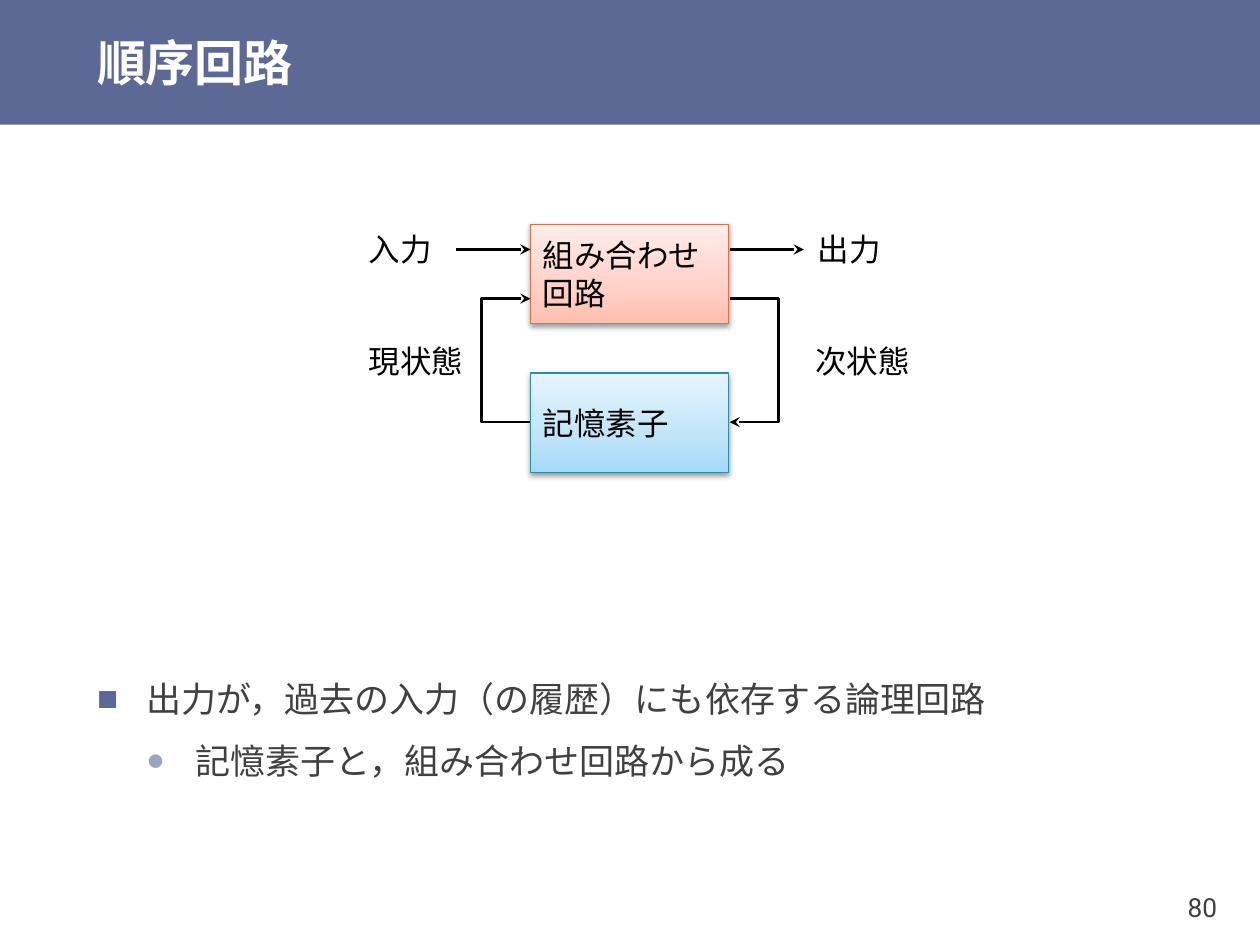
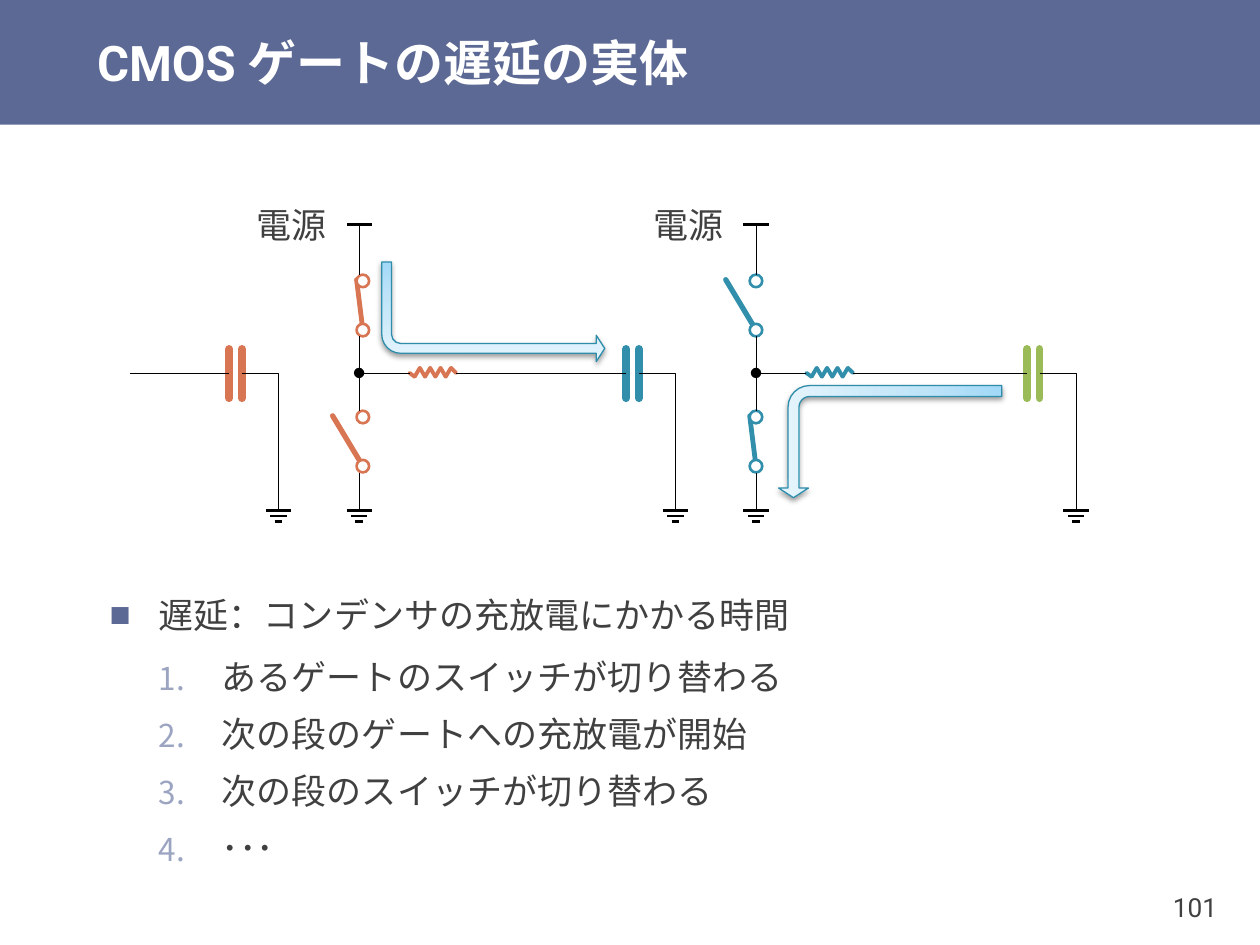
"""Builds two slides on sequential circuits and CMOS gate delay."""
from itertools import pairwise

from lxml import etree
from pptx import Presentation
from pptx import util as u
from pptx.dml.color import RGBColor
from pptx.enum import shapes, text
from pptx.oxml.ns import qn

COLORS = {
    "band": "5C6994", "bullet": "9BA4C1", "body": "404040",
    "white": "FFFFFF", "black": "000000",
    "red_edge": "D7714D", "blue_edge": "2E8DAB",
    "orange": "D87552", "teal": "328FAC", "green": "9BBB59",
}
GRADIENTS = {
    "red_edge": {0: "FFBEB0", 35: "FFD0C7", 100: "FFEDEA"},
    "blue_edge": {0: "A2D9F7", 35: "BFE4F8", 100: "E6F5FD"},
}
LATIN, CJK = "Roboto", "Noto Sans CJK JP"
WIRE_Y, GROUND_Y, POWER_Y = 2.96, 4.05, 1.78
UPPER_Y, LOWER_Y = 2.18, 3.26
THIN, THICK = 0.25, 1.5


def rgb(name):
    return RGBColor.from_string(COLORS[name])


def node(parent, tag, **attributes):
    return etree.SubElement(parent, qn(tag), **attributes)


def inches(*lengths):
    return [u.Inches(length) for length in lengths]


def place(shape, left, top, width, height):
    shape.left, shape.top, shape.width, shape.height = inches(left, top, width, height)


def write(para, words, size, color="black", font=CJK, bold=False):
    span = para.add_run()
    span.text = words
    span.font.size = u.Pt(size)
    span.font.bold = bold
    span.font.name = font
    span.font.color.rgb = rgb(color)
    node(span._r.get_or_add_rPr(), "a:ea", typeface=CJK)


def set_frame(shape, margin_x=0.1, margin_y=0.05, wrap=False):
    frame = shape.text_frame
    frame.auto_size = text.MSO_AUTO_SIZE.NONE
    frame.word_wrap = wrap
    frame.vertical_anchor = text.MSO_ANCHOR.MIDDLE
    frame.margin_left = frame.margin_right = u.Inches(margin_x)
    frame.margin_top = frame.margin_bottom = u.Inches(margin_y)
    return frame


def set_line(shape, color, width, tail=None, rounded=False):
    shape.line.color.rgb = rgb(color)
    shape.line.width = u.Pt(width)
    properties = shape.element.spPr
    line = properties.find(qn("a:ln"))
    if rounded:
        line.set("cap", "rnd")
    if tail:
        node(line, "a:tailEnd", type=tail)
    return node(properties, "a:effectLst")


def add_line(page, start, end, color="black", width=THIN, **ends):
    connector = page.shapes.add_connector(
        shapes.MSO_CONNECTOR.STRAIGHT, *inches(*start, *end))
    set_line(connector, color, width, **ends)


def add_path(page, points, width, tail=None):
    start, *rest = [inches(*point) for point in points]
    builder = page.shapes.build_freeform(*start)
    builder.add_line_segments(rest, close=False)
    path = builder.convert_to_shape()
    path.fill.background()
    set_line(path, "black", width, tail)


def add_glossy(page, preset, area, edge):
    shape = page.shapes.add_shape(preset, *inches(*area))
    shape.fill.gradient()
    shape.fill.gradient_angle = 90
    stops = next(shape.element.spPr.iter(qn("a:gsLst")))
    stops.clear()
    for position, value in GRADIENTS[edge].items():
        node(node(stops, "a:gs", pos=str(position * 1000)), "a:srgbClr", val=value)
    effects = set_line(shape, edge, 0.75)
    shadow = node(effects, "a:outerShdw", blurRad="40000", dist="20000",
                  dir="5400000", rotWithShape="0")
    node(node(shadow, "a:srgbClr", val=COLORS["black"]), "a:alpha", val="38000")
    return shape


def add_block(page, top, lines):
    edge = "red_edge" if len(lines) > 1 else "blue_edge"
    block = add_glossy(page, shapes.MSO_SHAPE.RECTANGLE, (4.21, top, 1.57, 0.79), edge)
    frame = set_frame(block)
    for index, line in enumerate(lines):
        para = frame.add_paragraph() if index else frame.paragraphs[0]
        para.alignment = text.PP_ALIGN.LEFT
        write(para, line, 18)


def add_label(page, area, words, size=18, color="black", font=CJK, align="LEFT", **margins):
    box = page.shapes.add_textbox(*inches(*area))
    para = set_frame(box, **margins).paragraphs[0]
    para.alignment = text.PP_ALIGN[align]
    write(para, words, size, color, font)


def add_flow_arrow(page, area, rotation):
    arrow = add_glossy(page, shapes.MSO_SHAPE.BENT_ARROW, area, "blue_edge")
    for index, value in enumerate((0.098, 0.133, 0.086, 0.192)):
        arrow.adjustments[index] = value
    arrow.rotation = rotation
    arrow.element.spPr.find(qn("a:xfrm")).set("flipH", "1")


def add_resistor(page, x, color):
    group = page.shapes.add_group_shape()
    heights = [WIRE_Y] + [2.99, 2.92] * 4 + [WIRE_Y]
    points = [(x + 0.37 * i / 9, y) for i, y in enumerate(heights)]
    for start, end in pairwise(points):
        add_line(group, start, end, color, 2.25, rounded=True)


def add_switch(page, x, top, closed, color):
    group = page.shapes.add_group_shape()
    reach, width = (0.05, 2.75) if closed else (0.24, 3)
    add_line(group, (x - reach, top + 0.04), (x, top + 0.44), color, width, rounded=True)
    for y in (top + 0.39, top):
        contact = group.shapes.add_shape(
            shapes.MSO_SHAPE.OVAL, *inches(x - 0.05, y, 0.1, 0.1))
        contact.fill.solid()
        contact.fill.fore_color.rgb = rgb("white")
        set_line(contact, color, THICK)


def add_ground(page, x):
    group = page.shapes.add_group_shape()
    for index, half in enumerate((0.1, 0.065, 0.03)):
        y = GROUND_Y + 0.045 * index
        add_line(group, (x - half, y), (x + half, y), width=THICK)


def add_capacitor(page, x, color):
    plates = page.shapes.add_group_shape()
    for plate_x in (x + 0.1, x):
        add_line(plates, (plate_x, 3.16), (plate_x, 2.77), color, 4.5, rounded=True)
    ground_x = x + 0.39
    add_ground(page, ground_x)
    add_path(page, [(ground_x, GROUND_Y), (ground_x, WIRE_Y), (x + 0.1, WIRE_Y)], THIN)
    add_line(page, (x - 0.79, WIRE_Y), (x, WIRE_Y))


def add_gate(page, x, switch_x, upper_closed, color):
    add_resistor(page, x + 0.4, color)
    add_switch(page, switch_x, LOWER_Y, not upper_closed, color)
    add_switch(page, switch_x, UPPER_Y, upper_closed, color)
    add_ground(page, x)
    for top, bottom in ((POWER_Y, UPPER_Y), (2.67, LOWER_Y), (3.75, GROUND_Y)):
        add_line(page, (x, bottom), (x, top))
    add_line(page, (x + 0.1, POWER_Y), (x - 0.1, POWER_Y), width=THICK)
    add_line(page, (x + 0.4, WIRE_Y), (x, WIRE_Y), tail="oval")
    add_line(page, (x + 0.77, WIRE_Y), (x + 1.36, WIRE_Y))
    add_label(page, (x - 0.93, 1.39, 0.79, 0.79), "電源", 20, "body", LATIN, "CENTER")


def add_item(para, words, level=0, numbered=False):
    para.level = level
    para.alignment = text.PP_ALIGN.LEFT
    para.line_spacing = 1.1
    para.space_before, para.space_after = [u.Pt(p) for p in ((3, 3) if level else (24, 6))]
    write(para, words, 20, "body", LATIN)
    hanging = 0.5 if numbered else 0.39
    properties = para._p.get_or_add_pPr()
    properties.set("marL", str(u.Inches(0.39 * (level + 1) + 0.11 * numbered)))
    properties.set("indent", str(-u.Inches(hanging)))
    color = COLORS["bullet" if level else "band"]
    node(node(properties, "a:buClr"), "a:srgbClr", val=color)
    node(properties, "a:buSzPct", val="90000" if level else "100000")
    if numbered:
        node(properties, "a:buFont", typeface=CJK)
        node(properties, "a:buAutoNum", type="arabicPeriod")
    else:
        node(properties, "a:buChar", char="●" if level else "■")


def add_list(page, area, heading, items, numbered=False):
    body = page.placeholders[1]
    place(body, *area)
    frame = set_frame(body, wrap=True)
    add_item(frame.paragraphs[0], heading)
    for item in items:
        add_item(frame.add_paragraph(), item, 1, numbered)


def add_page(deck, title, number):
    page = deck.slides.add_slide(deck.slide_layouts[1])
    para = set_frame(page.shapes.title, margin_y=0, wrap=True).paragraphs[0]
    para.alignment = text.PP_ALIGN.LEFT
    write(para, title, 28, "white", LATIN, bold=True)
    add_label(page, (8.94, 6.9, 0.79, 0.6), number, 15, "body", LATIN, "RIGHT",
              margin_x=0.07, margin_y=0.04)
    return page


def set_layout(page):
    layout = page.slide_layout
    place(layout.placeholders[0], 0.67, 0, 9.33, 0.99)
    band = page.shapes.add_shape(shapes.MSO_SHAPE.RECTANGLE, *inches(0, 0, 10, 0.99))
    band.fill.solid()
    band.fill.fore_color.rgb = rgb("band")
    band.line.fill.background()
    band.shadow.inherit = False
    band.element.nvSpPr.cNvPr.set("id", "20")
    layout.shapes.element.insert(2, band.element)


def draw_sequential_circuit(page):
    add_list(page, (0.67, 4.64, 9.06, 2.26),
             "出力が，過去の入力（の履歴）にも依存する論理回路",
             ["記憶素子と，組み合わせ回路から成る"])
    add_block(page, 1.78, ["組み合わせ", "回路"])
    add_block(page, 2.96, ["記憶素子"])
    for x in (3.62, 5.79):
        add_line(page, (x, 1.98), (x + 0.59, 1.98), width=THICK, tail="stealth")
    for edge, outer, start, end in ((5.79, 6.18, 2.37, 3.35), (4.21, 3.82, 3.35, 2.37)):
        add_path(page, [(edge, start), (outer, start), (outer, end), (edge, end)],
                 THICK, "stealth")
    for left, top, words in ((2.83, 1.78, "入力"), (6.39, 1.78, "出力"),
                             (2.83, 2.67, "現状態"), (6.37, 2.67, "次状態")):
        add_label(page, (left, top, 0.79, 0.39), words)


def draw_gate_delay(page):
    add_list(page, (0.77, 5, 9.04, 1.57),
             "遅延：コンデンサの充放電にかかる時間",
             ["あるゲートのスイッチが切り替わる", "次の段のゲートへの充放電が開始",
              "次の段のスイッチが切り替わる", "･･･"], numbered=True)
    add_gate(page, 2.85, 2.88, True, "orange")
    add_gate(page, 6, 6, False, "teal")
    for x, color in ((1.82, "orange"), (4.97, "teal"), (8.15, "green")):
        add_capacitor(page, x, color)
    add_flow_arrow(page, (3.03, 2.08, 1.77, 0.79), 180)
    add_flow_arrow(page, (6.62, 2.62, 0.89, 1.77), 270)


def main():
    deck = Presentation()
    deck.slide_width, deck.slide_height = inches(10, 7.5)
    sequential = add_page(deck, "順序回路", "80")
    set_layout(sequential)
    draw_sequential_circuit(sequential)
    draw_gate_delay(add_page(deck, "CMOS ゲートの遅延の実体", "101"))
    deck.save("out.pptx")


if __name__ == "__main__":
    main()
